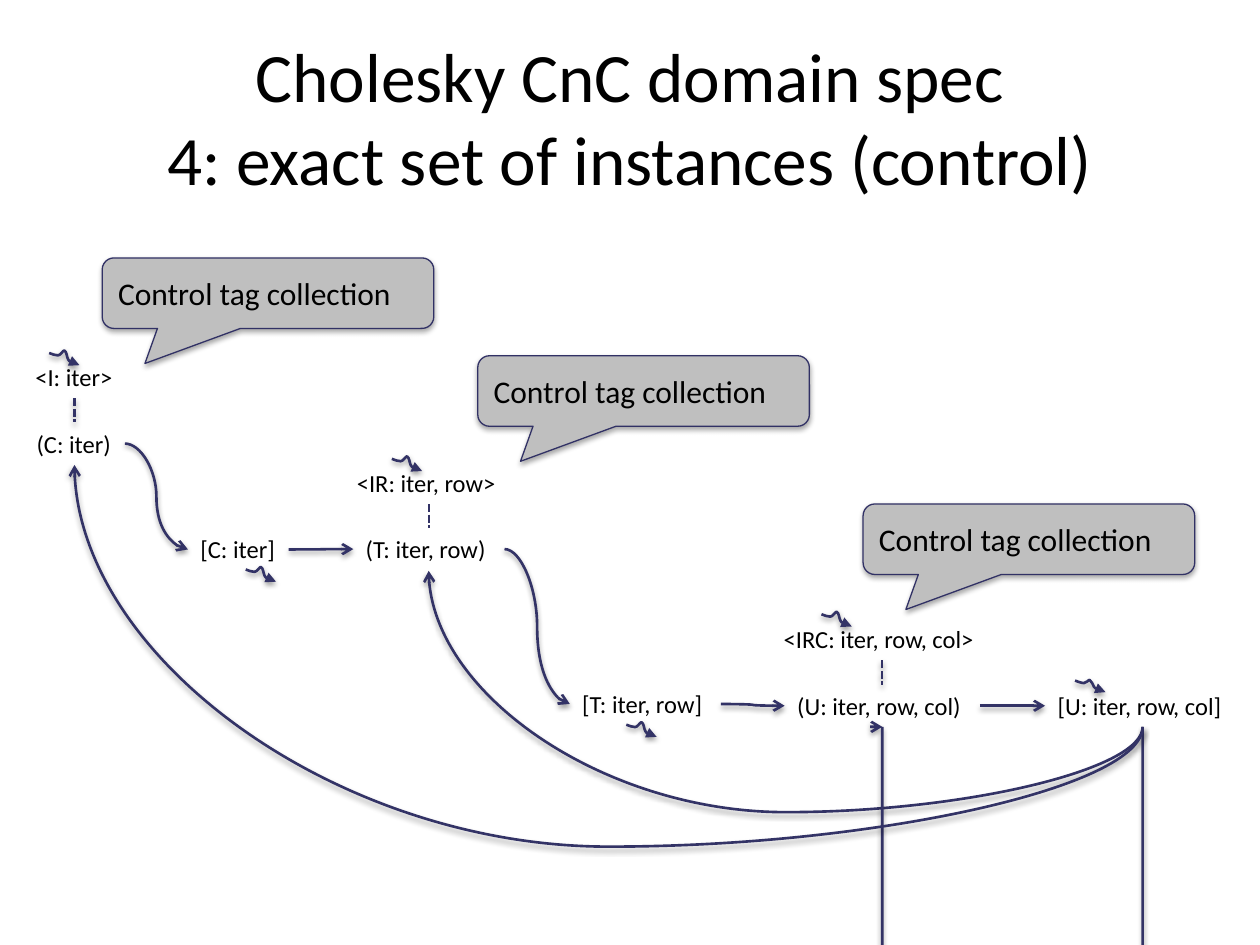
import pptx
import pptx.util
import pptx.dml.color
import pptx.enum.dml
import pptx.enum.shapes
import pptx.enum.text
import pptx.oxml
import pptx.oxml.ns
import lxml.etree
from dataclasses import dataclass

Pt = pptx.util.Pt
Text = pptx.enum.text
Kind = pptx.enum.shapes.MSO_CONNECTOR
qn = pptx.oxml.ns.qn


@dataclass
class Theme:
    font: str = "Calibri"
    ink: str = "000000"
    line: str = "333366"
    edge: str = "313165"
    fill: str = "BFBFBF"
    title: float = 39.6
    note: float = 18
    label: float = 14
    width: float = 1.5


# Squiggle in points: its start, then two handles and an end per curve
START = (0, 4)
WAVE = [
    [(1.6, 4.2), (3.8, 4.2), (5.2, 3.8)],
    [(6.6, 3.4), (7.1, 0.2), (7.8, 0)],
    [(9.4, 0.3), (10.2, 3), (11.4, 4.2)],
    [(12.5, 5.3), (18.6, 5.4), (18.6, 5.4)],
]


def color(code):
    return pptx.dml.color.RGBColor.from_string(code)


def grid(spot):
    """Hundredths of a point."""
    return tuple(round(100 * value) for value in spot)


class Deck:
    def __init__(self, theme):
        self.theme = theme
        self.show = pptx.Presentation()
        self.show.slide_width, self.show.slide_height = Pt(720), Pt(540)
        self.slide = self.show.slides.add_slide(self.show.slide_layouts[5])
        self.shapes = self.slide.shapes

    def style(self, frame, size, align):
        for par in frame.paragraphs:
            par.alignment = align
            par.font.name, par.font.size = self.theme.font, Pt(size)
            par.font.color.rgb = color(self.theme.ink)

    def shade(self, shape, alpha):
        """Give the shape a soft shadow below, or none if alpha is 0."""
        props = shape.element.spPr
        effects = lxml.etree.SubElement(props, qn("a:effectLst"))
        if alpha:
            drop = lxml.etree.SubElement(
                effects, qn("a:outerShdw"), blurRad=str(Pt(3.1)),
                dist=str(Pt(1.7)), dir="5400000", rotWithShape="0")
            tint = lxml.etree.SubElement(drop, qn("a:srgbClr"), val="000000")
            lxml.etree.SubElement(tint, qn("a:alpha"), val=str(alpha * 1000))

    def stroke(self, shape, head=None, dash=False, alpha=38):
        shape.line.color.rgb = color(self.theme.line)
        shape.line.width = Pt(self.theme.width)
        if dash:
            shape.line.dash_style = pptx.enum.dml.MSO_LINE.SQUARE_DOT
        if head:
            line = shape.element.spPr.find(qn("a:ln"))
            lxml.etree.SubElement(line, qn("a:tailEnd"), type=head)
        self.shade(shape, alpha)

    def title(self, text, x, y, w, h):
        box = self.shapes.title
        box.left, box.top, box.width, box.height = Pt(x), Pt(y), Pt(w), Pt(h)
        box.text_frame.text = text
        box.text_frame.vertical_anchor = Text.MSO_ANCHOR.MIDDLE
        self.style(box.text_frame, self.theme.title, Text.PP_ALIGN.CENTER)

    def label(self, text, mid, top, width):
        box = self.shapes.add_textbox(
            Pt(mid - width / 2), Pt(top), Pt(width), Pt(24.2))
        frame = box.text_frame
        frame.word_wrap = False
        frame.auto_size = Text.MSO_AUTO_SIZE.SHAPE_TO_FIT_TEXT
        frame.text = text
        self.style(frame, self.theme.label, Text.PP_ALIGN.LEFT)
        return box

    def line(self, x1, y1, x2, y2, **look):
        line = self.shapes.add_connector(
            Kind.STRAIGHT, Pt(x1), Pt(y1), Pt(x2), Pt(y2))
        self.stroke(line, **look)

    def flow(self, a, b):
        """Curve from the right side of a to the left side of b."""
        curve = self.shapes.add_connector(
            Kind.CURVE, a.left + a.width, a.top + a.height // 2,
            b.left, b.top + b.height // 2)
        self.stroke(curve, head="arrow")

    def loop(self, x1, y1, x2, y2, sag):
        """Curve that leaves downward and comes back up further left."""
        mid_x, mid_y = (x1 + x2) / 2, (y1 + y2) / 2
        w, h = (y1 - y2) / 2, (x1 - x2) / 2
        curve = self.shapes.add_connector(
            Kind.CURVE, Pt(mid_x - w), Pt(mid_y - h),
            Pt(mid_x + w), Pt(mid_y + h))
        curve.width = max(curve.width, 1)  # the bend is a share of this
        props = curve.element.spPr
        frame = props.find(qn("a:xfrm"))
        frame.set("rot", "5400000")
        frame.set("flipH", "1")
        shape = props.find(qn("a:prstGeom"))
        for old in shape.findall(qn("a:avLst")):
            shape.remove(old)
        guides = lxml.etree.SubElement(shape, qn("a:avLst"))
        bend = round(-100000 * Pt(sag) / curve.width)
        lxml.etree.SubElement(guides, qn("a:gd"), name="adj1",
                              fmla=f"val {bend}")
        self.stroke(curve, head="arrow")

    def wave(self, x, y, height=5.4):
        pen = self.shapes.build_freeform(*grid(START), scale=Pt(1) / 100)
        pen.add_line_segments([grid(c[-1]) for c in WAVE], close=False)
        shape = pen.convert_to_shape(Pt(x), Pt(y))
        # Turn the straight segments into cubic curves
        for part, curve in zip(list(shape.element.iter(qn("a:lnTo"))), WAVE):
            cubic = lxml.etree.Element(qn("a:cubicBezTo"))
            for px, py in map(grid, curve):
                lxml.etree.SubElement(cubic, qn("a:pt"), x=str(px), y=str(py))
            part.getparent().replace(part, cubic)
        shape.height = Pt(height)
        shape.rotation = 17.6
        shape.fill.background()
        self.stroke(shape, head="triangle")

    def note(self, text, x, y):
        box = self.shapes.add_shape(
            pptx.enum.shapes.MSO_SHAPE.ROUNDED_RECTANGULAR_CALLOUT,
            Pt(x), Pt(y), Pt(189.5), Pt(40.3))
        for i, value in enumerate((-0.371, 0.997, 0.167)):
            box.adjustments[i] = value
        box.fill.solid()
        box.fill.fore_color.rgb = color(self.theme.fill)
        box.line.color.rgb = color(self.theme.edge)
        box.line.width = Pt(0.75)
        self.shade(box, 35)
        box.text_frame.text = text
        box.text_frame.vertical_anchor = Text.MSO_ANCHOR.MIDDLE
        self.style(box.text_frame, self.theme.note, Text.PP_ALIGN.LEFT)


def main():
    deck = Deck(Theme())
    deck.title("Cholesky CnC domain spec\v"
               "4: exact set of instances (control)", 36, 21.6, 648, 90)

    # Steps and items, in order of flow: text, middle, top, width
    nodes = [deck.label(*node) for node in (
        ("(C: iter)", 42.6, 241.4, 57.6),
        ("[C: iter]", 136.2, 301.9, 57.6),
        ("(T: iter, row)", 245.1, 301.7, 86.4),
        ("[T: iter, row]", 368.8, 390.2, 86.4),
        ("(U: iter, row, col)", 504.2, 391.2, 111.6),
        ("[U: iter, row, col]", 653, 391.2, 111.6))]
    for a, b in zip(nodes, nodes[1:]):
        deck.flow(a, b)

    # Control tags, each tied to the step below it
    for text, mid, top, width, alpha in (
            ("<I: iter>", 42.6, 203.2, 59, 38),
            ("<IR: iter, row>", 245.1, 263.7, 96.5, 0),
            ("<IRC: iter, row, col>", 504.1, 353, 126.7, 38)):
        deck.label(text, mid, top, width)
        deck.line(mid, top + 24.4, mid, top + 38.2, dash=True, alpha=alpha)

    # Feedback from the last item to the three steps
    for x, y, sag in ((245, 326.2, 48.7), (504.2, 415.4, 18),
                      (42.6, 265.7, 68.4)):
        deck.loop(653, 415.4, x, y, sag)

    # Squiggles mark input and output
    for spot in ((28.1, 200.6), (223.9, 261.1), (469.4, 349.9),
                 (140.4, 324.3), (357.9, 413), (614.2, 388.9, 3.9)):
        deck.wave(*spot)

    for spot in ((273, 203.3), (58.4, 147.4), (493.2, 288)):
        deck.note("Control tag collection", *spot)

    deck.show.save("out.pptx")


if __name__ == "__main__":
    main()
